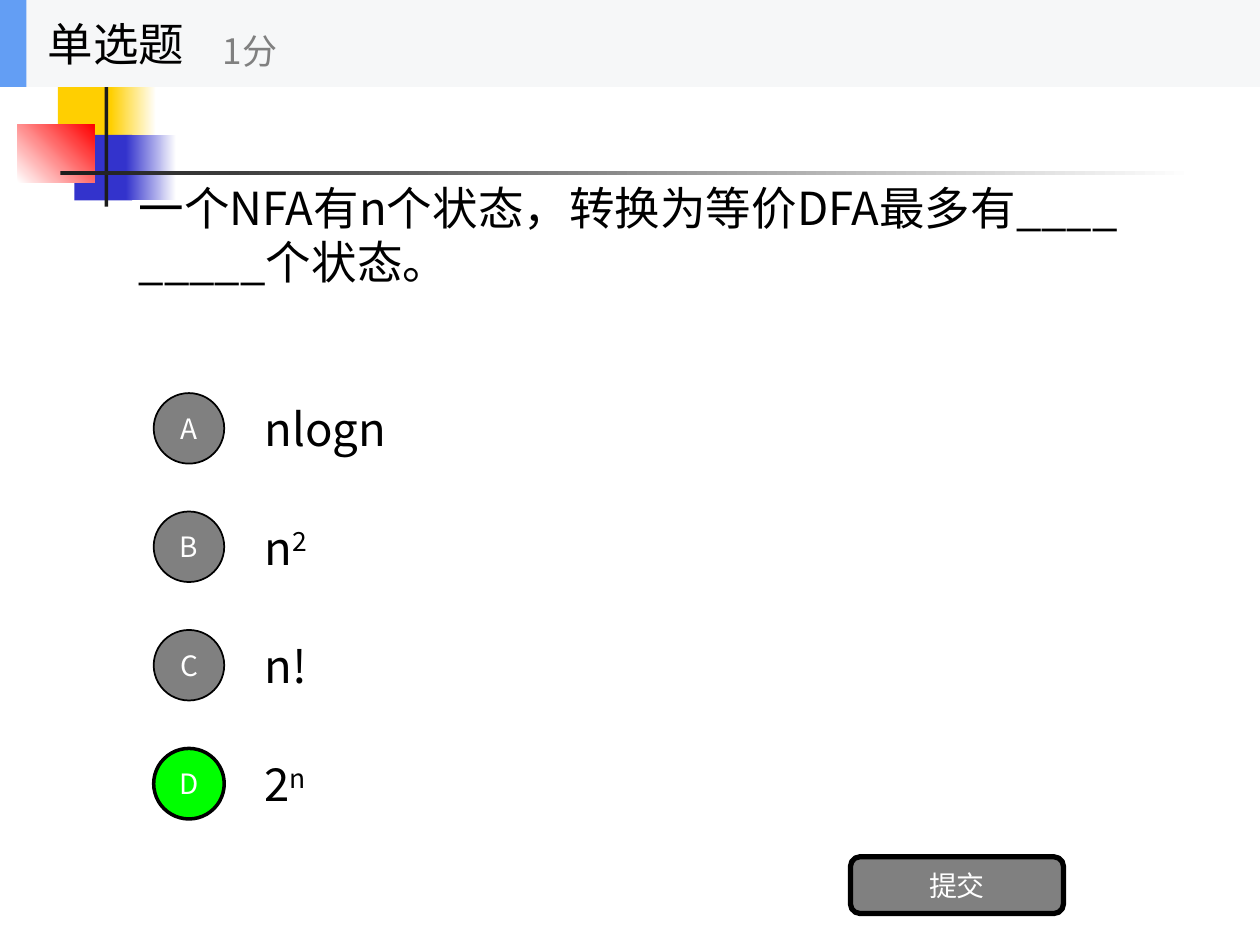
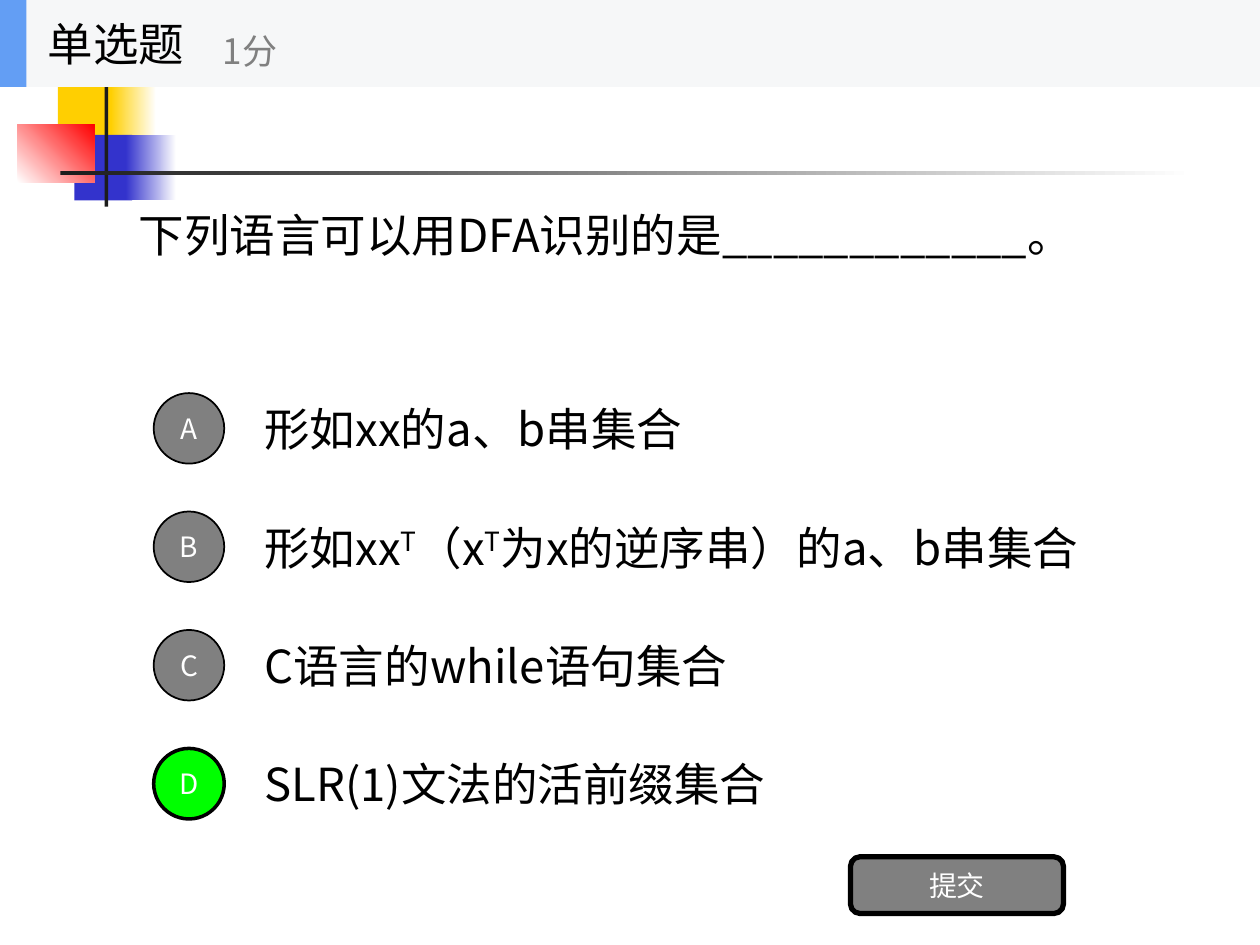
from lxml.etree import Element
from pptx import Presentation
from pptx.dml.color import RGBColor as Rgb
from pptx.enum.shapes import MSO_SHAPE as Geo
from pptx.enum.text import MSO_ANCHOR as Anchor, MSO_AUTO_SIZE as Auto, PP_ALIGN as Align
from pptx.oxml.ns import qn
from pptx.util import Inches, Pt

FONT = "Noto Sans CJK SC"
COLORS = {
    "black": "000000", "white": "FFFFFF", "gray": "808080", "green": "00FF00",
    "gold": "FFCF01", "blue": "3333CC", "red": "FF0000", "ink": "1C1C1C",
    "band": "F6F7F8", "accent": "639EF4",
}

# Question, options ("^" switches superscript on and off), right answer
QUIZ = [
    ("一个NFA有n个状态，转换为等价DFA最多有____ _____个状态。",
     ["nlogn", "n^2", "n!", "2^n"], "D"),
    ("下列语言可以用DFA识别的是____________。",
     ["形如xx的a、b串集合", "形如xx^T^（x^T^为x的逆序串）的a、b串集合",
      "C语言的while语句集合", "SLR(1)文法的活前缀集合"], "D"),
]


def color(name):
    return Rgb.from_string(COLORS[name])


class Deck:
    def __init__(self):
        self.prs = Presentation()
        self.prs.slide_width, self.prs.slide_height = Inches(10), Inches(7.5)

    def start(self):
        self.slide = self.prs.slides.add_slide(self.prs.slide_layouts[5])
        self.root = self.slide.shapes

    def label(self, shape, text, size, hue, align=Align.LEFT, wrap=True):
        frame = shape.text_frame
        frame.auto_size = Auto.NONE
        frame.word_wrap = wrap
        frame.vertical_anchor = Anchor.MIDDLE
        para = frame.paragraphs[0]
        para.alignment = align
        para.font.name, para.font.size = FONT, Pt(size)
        para.font.color.rgb = color(hue)
        for latin in shape.element.iter(qn("a:latin")):
            latin.addnext(Element(qn("a:ea"), typeface=FONT))
        for i, part in enumerate(text.split("^")):
            run = para.add_run()
            run.text = part
            if i % 2:
                run._r.get_or_add_rPr().set("baseline", "30000")

    def shape(self, box, fill, geo=Geo.RECTANGLE, line=0):
        item = self.root.add_shape(geo, *map(Inches, box))
        item.shadow.inherit = False
        item.fill.solid()
        item.fill.fore_color.rgb = color(fill)
        if line:
            item.line.color.rgb = color("black")
            item.line.width = Pt(line)
        else:
            item.line.fill.background()
        return item

    def fade(self, box, first, last, angle=0):
        fill = self.shape(box, first).fill
        fill.gradient()
        fill.gradient_angle = angle
        for stop, pos, hue in zip(fill.gradient_stops, (0, 1), (first, last)):
            stop.position = pos
            stop.color.rgb = color(hue)

    def text(self, box, text, size=26, hue="black"):
        self.label(self.root.add_textbox(*map(Inches, box)), text, size, hue)

    def button(self, box, text, geo, fill="gray", line=1):
        item = self.shape(box, fill, geo, line)
        self.label(item, text, 16, "white", Align.CENTER, wrap=False)

    def title(self, box, text):
        item = self.slide.shapes.title
        item.left, item.top, item.width, item.height = map(Inches, box)
        self.label(item, text, 26, "black")
        item.element.getparent().append(item.element)  # above the ornament

    def ornament(self):
        self.shape((0.46, 0.61, 0.48, 0.52), "gold")
        self.fade((0.88, 0.61, 0.36, 0.52), "gold", "white")
        self.shape((0.59, 1.07, 0.46, 0.52), "blue")
        self.fade((1, 1.07, 0.4, 0.52), "blue", "white")
        self.fade((0.14, 0.99, 0.61, 0.46), "white", "red", 45)
        self.shape((0.83, 0.49, 0.03, 1.15), "ink")
        self.fade((0.48, 1.36, 9, 0.03), "ink", "white")

    def header(self):
        self.root = self.slide.shapes.add_group_shape().shapes
        self.shape((0, 0, 10, 0.69), "band")
        self.shape((0, 0, 0.21, 0.69), "accent")
        self.text((0.28, 0, 2.08, 0.69), "单选题")
        self.text((1.67, 0.12, 2.5, 0.56), "1分", 20, "gray")
        self.root = self.slide.shapes

    def option(self, row, mark, text, right):
        top = 3.05 + 0.94 * row
        self.text((2, top, 7, 0.7), text)
        fill, line = ("green", 2) if right else ("gray", 1)
        self.button((1.22, top + 0.07, 0.56, 0.56), mark, Geo.OVAL, fill, line)


def main():
    deck = Deck()
    for ask, options, answer in QUIZ:
        deck.start()
        deck.ornament()
        deck.title((1, 0.69, 8, 2.34), ask)
        # Options and submit button
        for row, (mark, text) in enumerate(zip("ABCD", options)):
            deck.option(row, mark, text, mark == answer)
        deck.button((6.75, 6.8, 1.69, 0.45), "提交", Geo.ROUNDED_RECTANGLE, line=3)
        deck.header()
    deck.prs.save("out.pptx")


if __name__ == "__main__":
    main()
